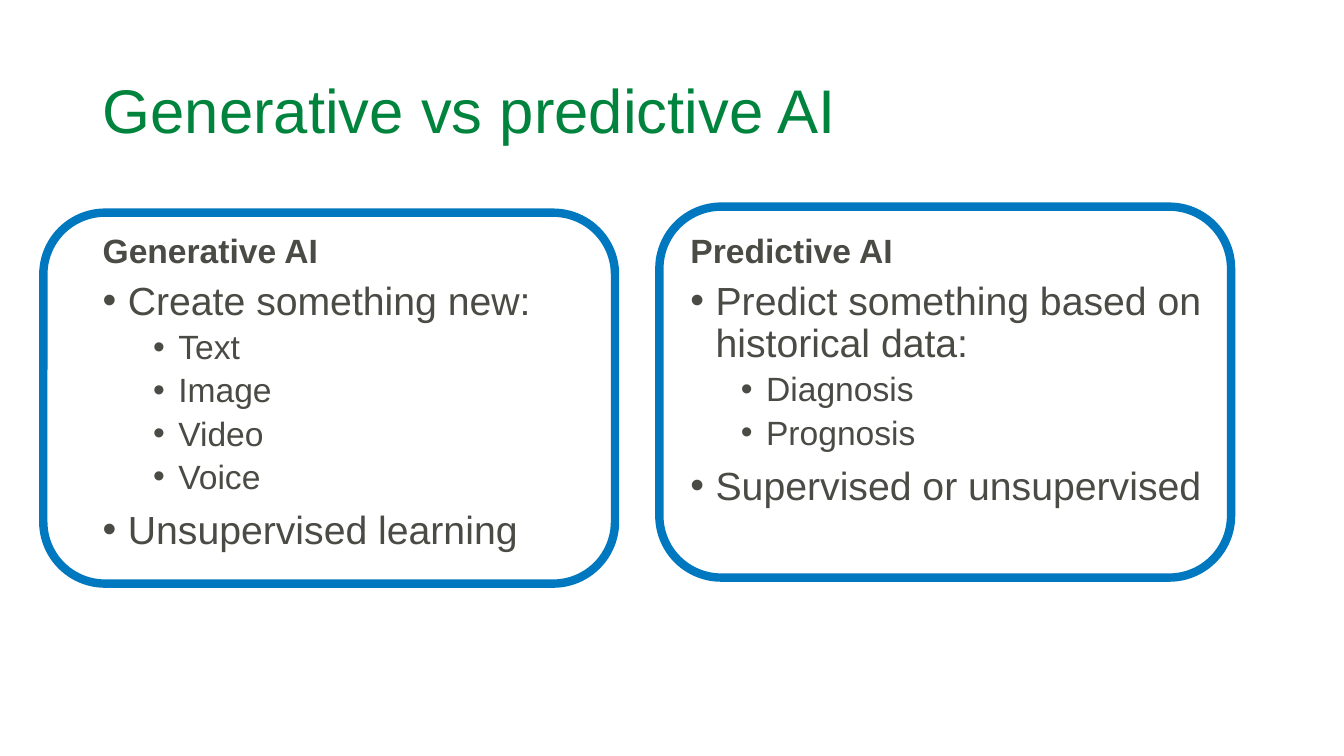
from lxml import etree
from pptx import Presentation
from pptx import util as u
from pptx.dml.color import RGBColor
from pptx.enum import shapes, text
from pptx.oxml.ns import qn

COLORS = {"title": "00843D", "body": "4B4B45", "frame": "0078BF"}
FONT = "Arial"
HEADING_HEIGHT = 0.9
LIST_HEIGHT = 4.03
FRAME_SIZE = (5.67, 3.68)
# Per list level: left margin in inches, font size and space before in points
LEVELS = [(0.25, 28, 10), (0.75, 24, 5)]

COLUMNS = [
    {
        "box": (0.92, 1.84, 5.64),
        "frame": (0.43, 2.11),
        "heading": "Generative AI",
        "items": [
            (0, "Create something new:"),
            (1, "Text"),
            (1, "Image"),
            (1, "Video"),
            (1, "Voice"),
            (0, "Unsupervised learning"),
        ],
    },
    {
        "box": (6.75, 1.84, 5.67),
        "frame": (6.54, 2.05),
        "heading": "Predictive AI",
        "items": [
            (0, "Predict something based on historical data:"),
            (1, "Diagnosis"),
            (1, "Prognosis"),
            (0, "Supervised or unsupervised"),
        ],
    },
]


def inches(*lengths):
    return [u.Inches(length) for length in lengths]


def write(paragraph, words, size, color, bold=False):
    paragraph.line_spacing = 0.9
    paragraph.alignment = text.PP_ALIGN.LEFT
    run = paragraph.add_run()
    run.text = words
    run.font.name = FONT
    run.font.size = u.Pt(size)
    run.font.bold = bold
    run.font.color.rgb = RGBColor.from_string(COLORS[color])


def add_bullet(paragraph, margin):
    properties = paragraph._p.get_or_add_pPr()
    properties.set("marL", str(u.Inches(margin)))
    properties.set("indent", str(u.Inches(-0.25)))
    etree.SubElement(properties, qn("a:buFont")).set("typeface", FONT)
    etree.SubElement(properties, qn("a:buChar")).set("char", "•")


def add_title(slide, box):
    title = slide.shapes.title
    title.left, title.top, title.width, title.height = inches(*box)
    frame = title.text_frame
    frame.word_wrap = True
    frame.vertical_anchor = text.MSO_ANCHOR.MIDDLE
    write(frame.paragraphs[0], "Generative vs predictive AI", 44, "title")


def add_text_frame(slide, box, anchor):
    frame = slide.shapes.add_textbox(*inches(*box)).text_frame
    frame.word_wrap = True
    frame.vertical_anchor = anchor
    return frame


def add_column(slide, box, heading, items):
    """Place a heading with a bulleted list directly below it."""
    left, top, width = box
    frame = add_text_frame(slide, (left, top, width, HEADING_HEIGHT), text.MSO_ANCHOR.BOTTOM)
    write(frame.paragraphs[0], heading, 24, "body", bold=True)

    list_box = (left, top + HEADING_HEIGHT, width, LIST_HEIGHT)
    frame = add_text_frame(slide, list_box, text.MSO_ANCHOR.TOP)
    for index, (level, words) in enumerate(items):
        paragraph = frame.add_paragraph() if index else frame.paragraphs[0]
        margin, size, space_before = LEVELS[level]
        add_bullet(paragraph, margin)
        paragraph.level = level
        paragraph.space_before = u.Pt(space_before if index else 0)
        write(paragraph, words, size, "body")


def add_outline(slide, position):
    outline = slide.shapes.add_shape(
        shapes.MSO_SHAPE.ROUNDED_RECTANGLE, *inches(*position, *FRAME_SIZE)
    )
    outline.shadow.inherit = False
    outline.fill.background()
    outline.line.color.rgb = RGBColor.from_string(COLORS["frame"])
    outline.line.width = u.Pt(6)


def main():
    presentation = Presentation()
    presentation.slide_width, presentation.slide_height = inches(13.33, 7.5)
    slide = presentation.slides.add_slide(presentation.slide_layouts[5])
    add_title(slide, (0.92, 0.4, 11.5, 1.45))
    for column in COLUMNS:
        add_column(slide, column["box"], column["heading"], column["items"])
    for column in COLUMNS:
        add_outline(slide, column["frame"])
    presentation.save("out.pptx")


if __name__ == "__main__":
    main()
